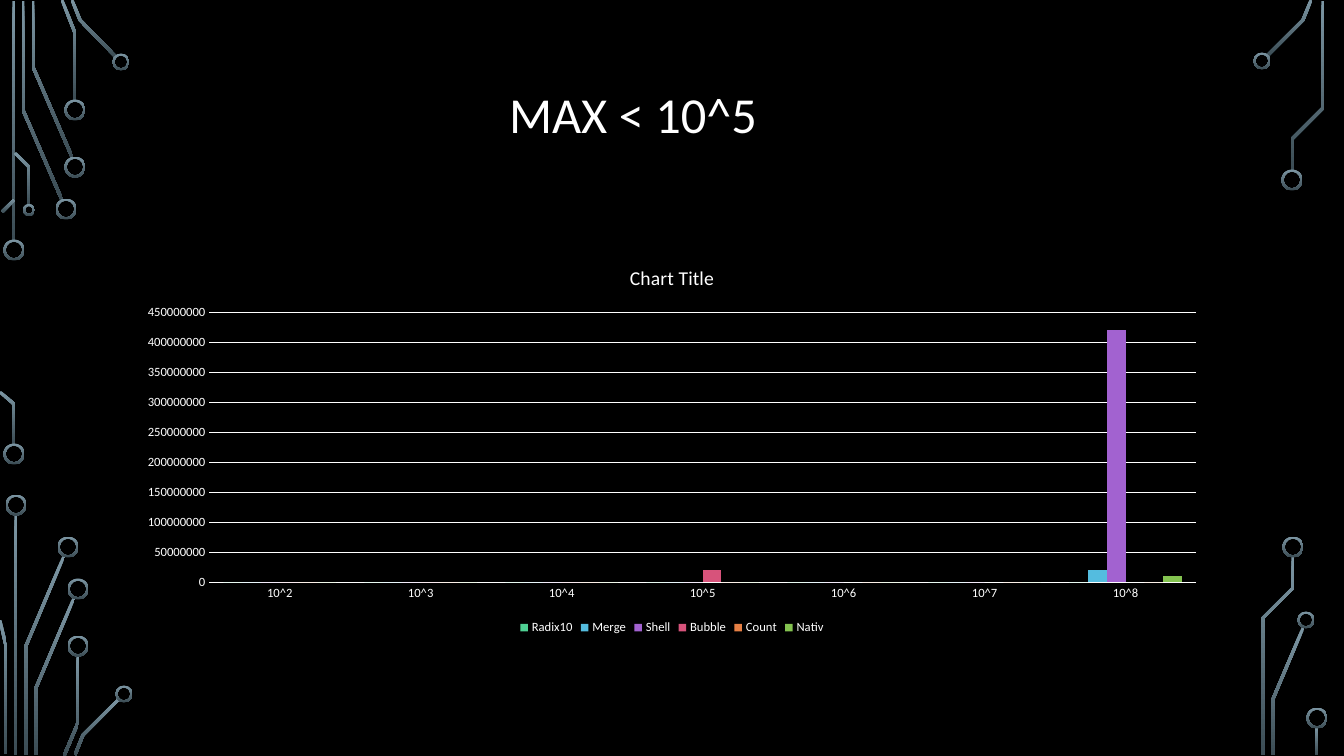
from math import hypot

from pptx import Presentation
from pptx.chart.data import CategoryChartData
from pptx.dml.color import RGBColor
from pptx.enum.chart import XL_CHART_TYPE, XL_LEGEND_POSITION, XL_TICK_MARK
from pptx.enum.shapes import MSO_SHAPE
from pptx.enum.text import MSO_ANCHOR, PP_ALIGN
from pptx.util import Pt

COLUMNS = XL_CHART_TYPE.COLUMN_CLUSTERED
BOTTOM = XL_LEGEND_POSITION.BOTTOM
NO_TICK = XL_TICK_MARK.NONE
DONUT = MSO_SHAPE.DONUT
MIDDLE = MSO_ANCHOR.MIDDLE
LEFT = PP_ALIGN.LEFT

PX = 914400 / 100.8
FONT = "Calibri"
TRACE_WIDTH, RING_WIDTH = 3, 2
COLORS = {
    "background": "000000", "text": "FFFFFF",
    "trace_top": "7C96A3", "trace_bottom": "3B4C54",
    "Radix10": "4FD093", "Merge": "54BCDF", "Shell": "A262D0",
    "Bubble": "D7537B", "Count": "E78045", "Nativ": "84C350",
}
CATEGORIES = [f"10^{n}" for n in range(2, 9)]
MILLION = 1_000_000
SERIES = {
    "Radix10": [0, 0, 0, 0, 0, 0, 0],
    "Merge": [0, 0, 0, 0, 0, 0, 20],
    "Shell": [0, 0, 0, 0, 0, 0, 420],
    "Bubble": [0, 0, 0, 20, None, None, None],
    "Count": [0, 0, 0, 0, 0, 0, 0],
    "Nativ": [0, 0, 0, 0, 0, 0, 10],
}
CIRCUITS = {
    "top left": {
        "origin": (0, 0),
        "traces": [
            [(14, 1), (14, 241)],
            [(23, 1), (23, 110), (62, 200)],
            [(33, 1), (33, 67), (72, 157)],
            [(62, 0), (75, 33), (75, 101)],
            [(72, 0), (80, 20), (116, 57)],
            [(2, 212), (14, 200)],
            [(15, 153), (29, 167), (29, 205)],
        ],
        "rings": [(14, 250, 21), (66, 209, 21), (75, 167, 21),
                  (75, 110, 21), (121, 62, 17), (29, 210, 12)],
    },
    "middle left": {
        "origin": (0, 391),
        "traces": [[(0, 1), (14, 13), (14, 53)]],
        "rings": [(14, 63, 21)],
    },
    "bottom left": {
        "origin": (0, 494),
        "traces": [
            [(16, 20), (16, 261)],
            [(26, 261), (26, 152), (64, 62)],
            [(0, 126), (6, 152), (6, 260)],
            [(36, 261), (36, 194), (74, 104)],
            [(64, 262), (78, 229), (78, 161)],
            [(75, 261), (83, 241), (119, 205)],
        ],
        "rings": [(16, 11, 21), (68, 53, 21), (78, 95, 21),
                  (78, 152, 21), (124, 200, 17)],
    },
    "top right": {
        "origin": (1252, 0),
        "traces": [
            [(15, 56), (51, 20), (59, 0)],
            [(40, 170), (40, 139), (71, 108), (71, 1)],
        ],
        "rings": [(10, 61, 17), (40, 180, 21)],
    },
    "bottom right": {
        "origin": (1260, 536),
        "traces": [
            [(13, 219), (13, 163), (43, 92)],
            [(3, 219), (3, 82), (33, 52), (33, 20)],
            [(57, 191), (57, 219)],
        ],
        "rings": [(46, 84, 17), (33, 11, 21), (57, 182, 21)],
    },
}


def px(*lengths):
    """Turn pixel lengths into a list of EMU."""
    return [round(n * PX) for n in lengths]


def rgb(name):
    """Look up a named colour."""
    return RGBColor.from_string(COLORS[name])


def style_font(font, size):
    """Set the common typeface and colour at a size in points."""
    font.name, font.size, font.bold = FONT, Pt(size), False
    font.color.rgb = rgb("text")


def style_metal(sp):
    """Give a circuit part its vertical gradient and no outline."""
    sp.shadow.inherit = False
    sp.line.fill.background()
    sp.fill.gradient()
    sp.fill.gradient_angle = 270
    for stop, name in zip(sp.fill.gradient_stops, ("trace_top", "trace_bottom")):
        stop.color.rgb = rgb(name)


def band(points, width):
    """Return the mitred outline of a polyline of the given width."""
    normals = []
    for (x1, y1), (x2, y2) in zip(points, points[1:]):
        length = hypot(x2 - x1, y2 - y1)
        normals.append(((y1 - y2) / length, (x2 - x1) / length))
    near, far = [], []
    joints = zip(points, normals[:1] + normals, normals + normals[-1:])
    for (x, y), (ax, ay), (bx, by) in joints:
        k = width / 2 / (1 + ax * bx + ay * by)
        dx, dy = k * (ax + bx), k * (ay + by)
        near.append((x + dx, y + dy))
        far.append((x - dx, y - dy))
    return near + far[::-1]


def add_circuit(slide, origin, traces, rings):
    """Draw one group of circuit traces and rings from its origin."""
    left, top = origin
    shapes = slide.shapes.add_group_shape().shapes
    for trace in traces:
        outline = [px(left + x, top + y) for x, y in band(trace, TRACE_WIDTH)]
        builder = shapes.build_freeform(*outline[0])
        builder.add_line_segments(outline[1:], close=True)
        style_metal(builder.convert_to_shape())
    for x, y, d in rings:
        box = px(left + x - d / 2, top + y - d / 2, d, d)
        sp = shapes.add_shape(DONUT, *box)
        sp.adjustments[0] = RING_WIDTH / d
        style_metal(sp)


def add_title(slide, box):
    """Place the slide title in its box."""
    sp = slide.shapes.title
    sp.left, sp.top, sp.width, sp.height = px(*box)
    tf = sp.text_frame
    tf.text = "MAX < 10^5"
    tf.vertical_anchor = MIDDLE
    p = tf.paragraphs[0]
    p.alignment, p.line_spacing = LEFT, 0.9
    style_font(p.font, 36)


def add_timing_chart(slide, box):
    """Place the clustered columns of sorting times in their box."""
    data = CategoryChartData()
    data.categories = CATEGORIES
    for name, values in SERIES.items():
        data.add_series(name, [v if v is None else v * MILLION for v in values])
    chart = slide.shapes.add_chart(COLUMNS, *px(*box), data).chart
    style_font(chart.font, 10)
    chart.has_title = True
    tf = chart.chart_title.text_frame
    tf.text = "Chart Title"
    style_font(tf.paragraphs[0].font, 14)
    chart.has_legend = True
    chart.legend.position = BOTTOM
    chart.legend.include_in_layout = False
    style_font(chart.legend.font, 9)
    for axis in (chart.category_axis, chart.value_axis):
        axis.major_tick_mark = axis.minor_tick_mark = NO_TICK
        axis.format.line.fill.background()
        style_font(axis.tick_labels.font, 9)
    grid = chart.value_axis.major_gridlines.format.line
    grid.width = Pt(0.75)
    grid.color.rgb = rgb("text")
    plot = chart.plots[0]
    plot.gap_width, plot.overlap, plot.vary_by_categories = 150, 0, False
    for series in plot.series:
        series.format.fill.solid()
        series.format.fill.fore_color.rgb = rgb(series.name)


def main():
    """Build and save the slide."""
    prs = Presentation()
    prs.slide_width, prs.slide_height = px(1344, 756)
    slide = prs.slides.add_slide(prs.slide_layouts[5])
    fill = slide.background.fill
    fill.solid()
    fill.fore_color.rgb = rgb("background")
    for circuit in CIRCUITS.values():
        add_circuit(slide, **circuit)
    add_title(slide, (499, 35, 347, 164))
    add_timing_chart(slide, (126, 248, 1092, 391))
    prs.save("out.pptx")


main()
